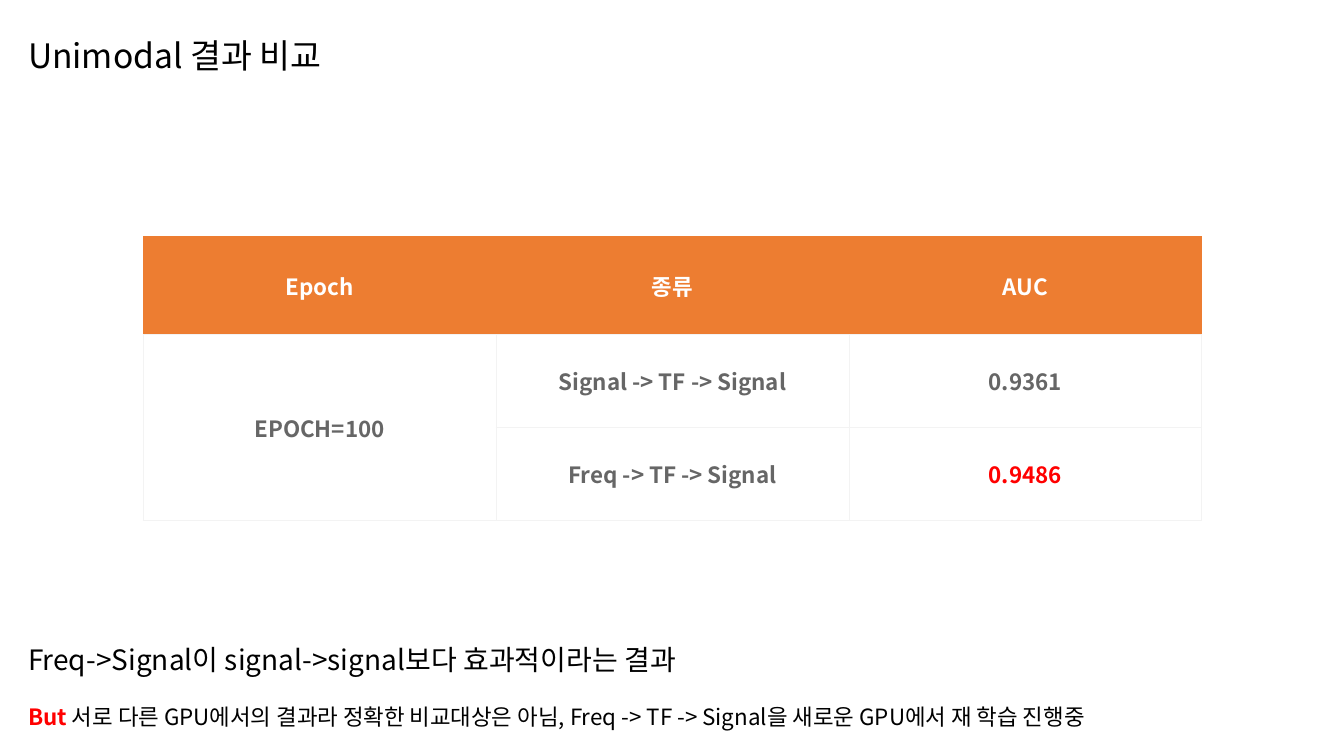
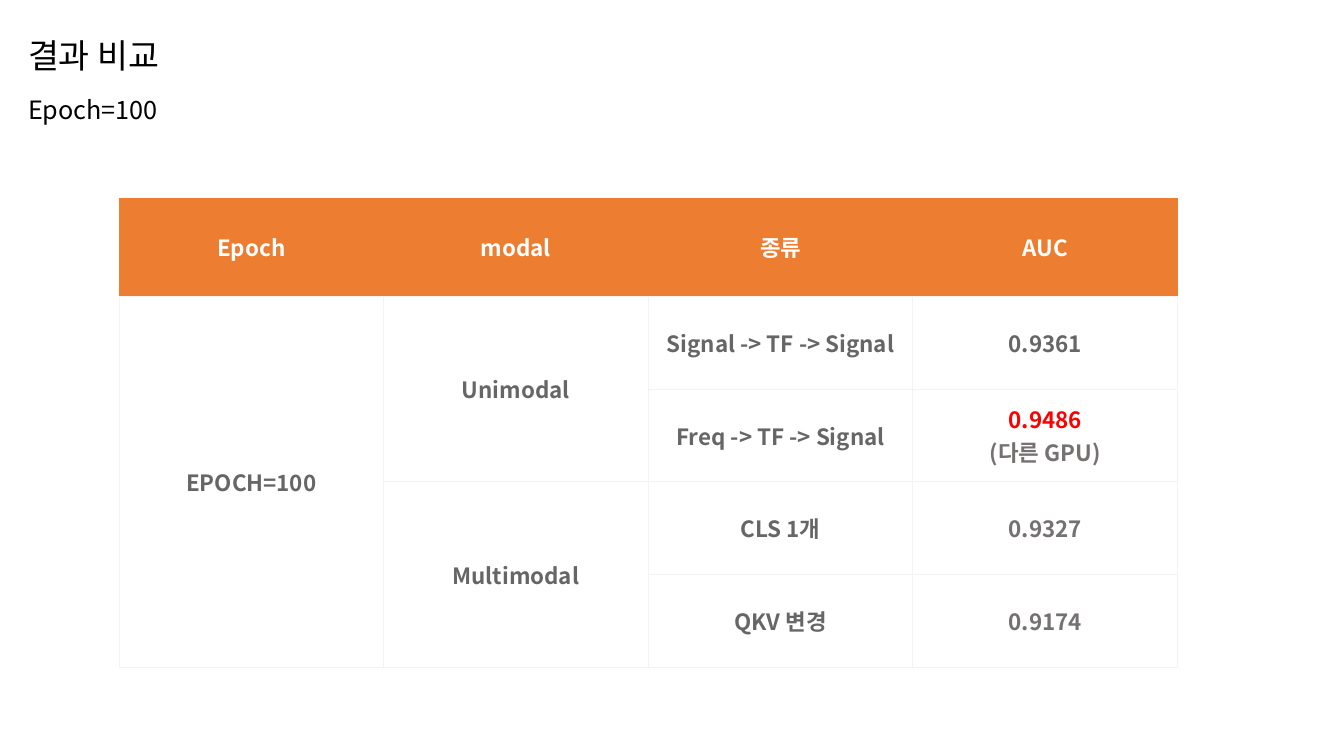
from dataclasses import dataclass

from lxml.etree import SubElement
from pptx import Presentation
from pptx.dml.color import RGBColor
from pptx.enum.text import MSO_ANCHOR as Anchor, MSO_AUTO_SIZE as AutoSize, PP_ALIGN as Align
from pptx.oxml.ns import qn
from pptx.util import Inches, Pt

# Shared look
FONT = "Noto Sans CJK KR"
COLORS = {
    "text": "000000", "header": "ED7D31", "header_text": "FFFFFF", "cell": "FFFFFF",
    "cell_text": "666666", "muted": "767171", "highlight": "FF0000", "border": "F3F3F3",
}
TABLE_WIDTH = 10.5
HEADER_HEIGHT = 0.98
ROW_HEIGHT = 0.92
CELL_MARGIN = 0.1
BORDER_WIDTH = 0.75


@dataclass(frozen=True)
class Span:
    text: str
    size: float = 16
    color: str = "text"
    bold: bool = False


Line = list[Span]


@dataclass(frozen=True)
class TextBlock:
    left: float
    top: float
    width: float
    height: float
    lines: list[Line]
    spacing: float = 1
    anchor: Anchor = Anchor.TOP
    auto_size: AutoSize = AutoSize.SHAPE_TO_FIT_TEXT


@dataclass(frozen=True)
class ResultTable:
    left: float
    top: float
    header: list[str]
    rows: list[list[list[Span] | None]]  # None continues the cell above


def rgb(name: str) -> RGBColor:
    return RGBColor.from_string(COLORS[name])


# Text
def fill_text(frame, lines: list[Line], spacing: float = 1, align: Align = Align.LEFT) -> None:
    for index, line in enumerate(lines):
        paragraph = frame.add_paragraph() if index else frame.paragraphs[0]
        paragraph.alignment = align
        paragraph.line_spacing = spacing
        for span in line:
            run = paragraph.add_run()
            run.text = span.text
            run.font.size = Pt(span.size)
            run.font.bold = span.bold
            run.font.color.rgb = rgb(span.color)
            run.font.name = FONT
            SubElement(run._r.get_or_add_rPr(), qn("a:ea"), typeface=FONT)


def draw_text(slide, block: TextBlock) -> None:
    shape = slide.shapes.add_textbox(
        Inches(block.left), Inches(block.top), Inches(block.width), Inches(block.height))
    frame = shape.text_frame
    frame.word_wrap = True
    frame.auto_size = block.auto_size
    frame.vertical_anchor = block.anchor
    fill_text(frame, block.lines, block.spacing)


def draw_title(slide, text: str) -> None:
    draw_text(slide, TextBlock(0.18, -0.15, 11.5, 1.45, [[Span(text, 24)]], 0.9,
                               Anchor.MIDDLE, AutoSize.NONE))


# Tables
def set_borders(cell, visible: str) -> None:
    properties = cell._tc.get_or_add_tcPr()
    for side in "LRTB":
        line = SubElement(properties, qn(f"a:ln{side}"), w=str(Pt(BORDER_WIDTH)))
        if side in visible:
            solid = SubElement(line, qn("a:solidFill"))
            SubElement(solid, qn("a:srgbClr"), val=COLORS["border"])
        else:
            SubElement(line, qn("a:noFill"))


def style_cell(cell, is_header: bool) -> None:
    set_borders(cell, "B" if is_header else "LRTB")
    cell.fill.solid()
    cell.fill.fore_color.rgb = rgb("header" if is_header else "cell")
    cell.vertical_anchor = Anchor.MIDDLE
    cell.margin_left = cell.margin_right = Inches(CELL_MARGIN)
    cell.margin_top = cell.margin_bottom = Inches(CELL_MARGIN)


def draw_table(slide, result: ResultTable) -> None:
    header = [[Span(text, color="header_text", bold=True)] for text in result.header]
    grid = [header, *result.rows]
    column_count = len(header)
    height = HEADER_HEIGHT + ROW_HEIGHT * len(result.rows)
    table = slide.shapes.add_table(
        len(grid), column_count, Inches(result.left), Inches(result.top),
        Inches(TABLE_WIDTH), Inches(height)).table
    for column in table.columns:
        column.width = Inches(TABLE_WIDTH / column_count)
    for index, row in enumerate(table.rows):
        row.height = Inches(ROW_HEIGHT if index else HEADER_HEIGHT)

    for row_index, row in enumerate(grid):
        for column_index, spans in enumerate(row):
            cell = table.cell(row_index, column_index)
            style_cell(cell, row_index == 0)
            if spans is None:
                continue
            last = row_index
            while last + 1 < len(grid) and grid[last + 1][column_index] is None:
                last += 1
            if last > row_index:
                cell.merge(table.cell(last, column_index))
            fill_text(cell.text_frame, [[span] for span in spans], align=Align.CENTER)


def value(text: str, color: str = "cell_text") -> list[Span]:
    return [Span(text, color=color, bold=True)]


presentation = Presentation()
presentation.slide_width = Inches(13.33)
presentation.slide_height = Inches(7.5)
blank_layout = presentation.slide_layouts[6]

# Results both slides report
epoch = value("EPOCH=100")
signal_row = [value("Signal -> TF -> Signal"), value("0.9361")]
freq_label = value("Freq -> TF -> Signal")
best_score = value("0.9486", "highlight")

# Slide 1: unimodal comparison
slide = presentation.slides.add_slide(blank_layout)
draw_title(slide, "Unimodal 결과 비교")
draw_table(slide, ResultTable(1.42, 2.34, ["Epoch", "종류", "AUC"], [
    [epoch, *signal_row],
    [None, freq_label, best_score],
]))
draw_text(slide, TextBlock(0.18, 5.99, 12.3, 1.23, [
    [Span("Freq->Signal이 signal->signal보다 효과적이라는 결과", 20)],
    [Span("But ", color="highlight", bold=True),
     Span("서로 다른 GPU에서의 결과라 정확한 비교대상은 아님, "
          "Freq -> TF -> Signal을 새로운 GPU에서 재 학습 진행중")],
], spacing=2))

# Slide 2: unimodal and multimodal comparison
slide = presentation.slides.add_slide(blank_layout)
draw_title(slide, "결과 비교")
draw_text(slide, TextBlock(0.18, 0.89, 3.52, 0.4, [[Span("Epoch=100", 18)]]))
draw_table(slide, ResultTable(1.18, 1.96, ["Epoch", "modal", "종류", "AUC"], [
    [epoch, value("Unimodal"), *signal_row],
    [None, None, freq_label, best_score + value("(다른 GPU)", "muted")],
    [None, value("Multimodal"), value("CLS 1개"), value("0.9327", "muted")],
    [None, None, value("QKV 변경"), value("0.9174", "muted")],
]))

presentation.save("out.pptx")
